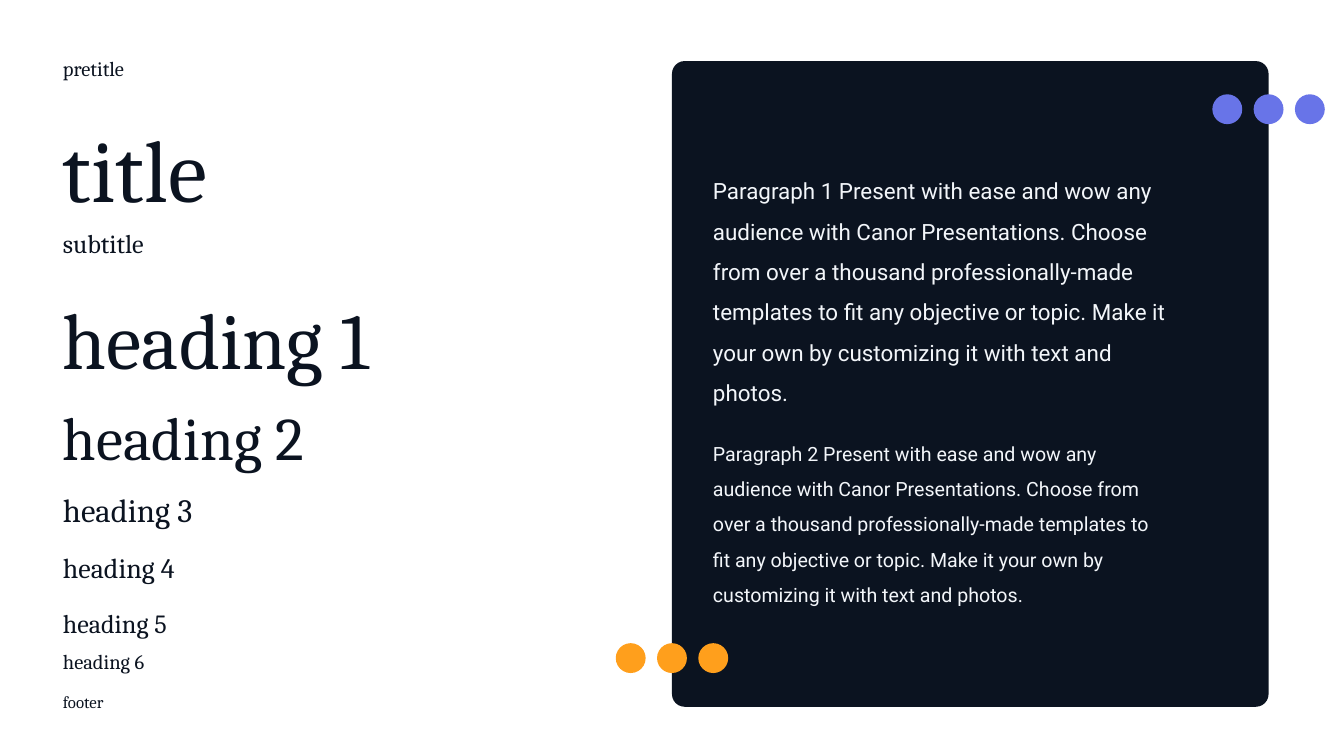
from dataclasses import dataclass

from pptx import Presentation
from pptx import util as u
from pptx.dml import color
from pptx.enum import shapes, text


@dataclass(frozen=True)
class Theme:
    ink: str = "0B1320"
    pale: str = "F3F6FA"
    blue: str = "6874E8"
    gold: str = "FF9F1C"
    serif: str = "Cambria"
    sans: str = "Roboto"
    title: int = 94
    head1: int = 85
    head2: int = 65
    head3: int = 35
    head4: int = 30
    head5: int = 28
    small: int = 22
    foot: int = 18
    body1: int = 24
    body2: int = 21


@dataclass(frozen=True)
class Box:
    left: float
    top: float
    width: float
    height: float


@dataclass(frozen=True)
class Line:
    words: str
    top: float
    height: float
    size: int
    lead: float


@dataclass(frozen=True)
class Style:
    left: float
    width: float
    font: str
    tint: str


@dataclass(frozen=True)
class Trio:
    x: float
    y: float
    tint: str


T = Theme()
PANEL = Box(25.4, 2.31, 22.55, 24.41)
CURVE = 0.48
DOT = 1.13
STEP = 1.56

HEADS = Style(2.38, 19.2, T.serif, T.ink)
BODY = Style(26.95, 17.3, T.sans, T.pale)

COPY = (
    "Present with ease and wow any audience with Canor Presentations. "
    "Choose from over a thousand professionally-made templates to fit any "
    "objective or topic. Make it your own by customizing it with text and photos."
)

SCALE = [
    Line("pretitle", 1.75, 1.04, T.small, 1.4),
    Line("title", 3.56, 3.96, T.title, 1.2),
    Line("subtitle", 8.13, 1.32, T.head5, 1.4),
    Line("heading 1", 10.24, 3.58, T.head1, 1.2),
    Line("heading 2", 14.58, 2.74, T.head2, 1.2),
    Line("heading 3", 17.93, 1.68, T.head3, 1.4),
    Line("heading 4", 20.42, 1.35, T.head4, 1.3),
    Line("heading 5", 22.61, 1.22, T.head5, 1.3),
    Line("heading 6", 24.26, 0.99, T.small, 1.3),
    Line("footer", 25.91, 0.81, T.foot, 1.3),
]

PARAS = [
    Line(f"Paragraph 1 {COPY}", 6.2, 7.59, T.body1, 1.5),
    Line(f"Paragraph 2 {COPY}", 16.26, 5.51, T.body2, 1.5),
]

TRIOS = [
    Trio(PANEL.left + PANEL.width, 4.13, T.blue),
    Trio(PANEL.left, 24.88, T.gold),
]


def place(box: Box) -> list[u.Length]:
    return [u.Cm(n) for n in (box.left, box.top, box.width, box.height)]


def draw(slide, kind: shapes.MSO_SHAPE, box: Box, tint: str):
    shape = slide.shapes.add_shape(kind, *place(box))
    shape.shadow.inherit = False
    shape.fill.solid()
    shape.fill.fore_color.rgb = color.RGBColor.from_string(tint)
    shape.line.fill.background()
    return shape


def write(slide, line: Line, style: Style) -> None:
    box = Box(style.left, line.top, style.width, line.height)
    frame = slide.shapes.add_textbox(*place(box)).text_frame
    frame.margin_left = frame.margin_right = 0
    frame.margin_top = frame.margin_bottom = 0
    frame.word_wrap = True
    frame.auto_size = text.MSO_AUTO_SIZE.SHAPE_TO_FIT_TEXT
    para = frame.paragraphs[0]
    para.line_spacing = line.lead
    run = para.add_run()
    run.text = line.words
    run.font.name = style.font
    run.font.size = u.Pt(line.size)
    run.font.color.rgb = color.RGBColor.from_string(style.tint)


def dots(slide, trio: Trio) -> None:
    for i in (-1, 0, 1):
        box = Box(trio.x + i * STEP - DOT / 2, trio.y - DOT / 2, DOT, DOT)
        draw(slide, shapes.MSO_SHAPE.OVAL, box, trio.tint)


def main() -> None:
    deck = Presentation()
    deck.slide_width, deck.slide_height = u.Cm(50.8), u.Cm(28.58)
    slide = deck.slides.add_slide(deck.slide_layouts[6])

    panel = draw(slide, shapes.MSO_SHAPE.ROUNDED_RECTANGLE, PANEL, T.ink)
    panel.adjustments[0] = CURVE / PANEL.width

    for style, lines in ((BODY, PARAS), (HEADS, SCALE)):
        for line in lines:
            write(slide, line, style)
    for trio in TRIOS:
        dots(slide, trio)

    deck.save("out.pptx")


if __name__ == "__main__":
    main()
